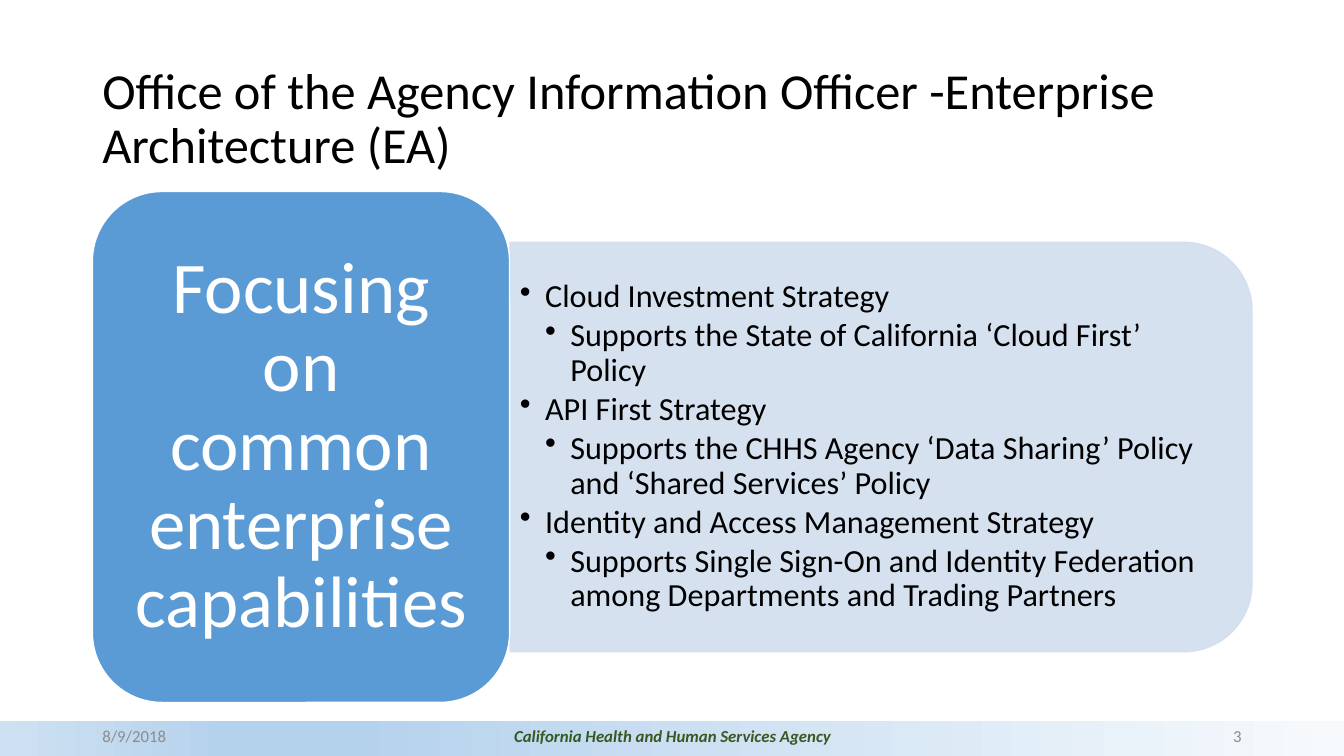
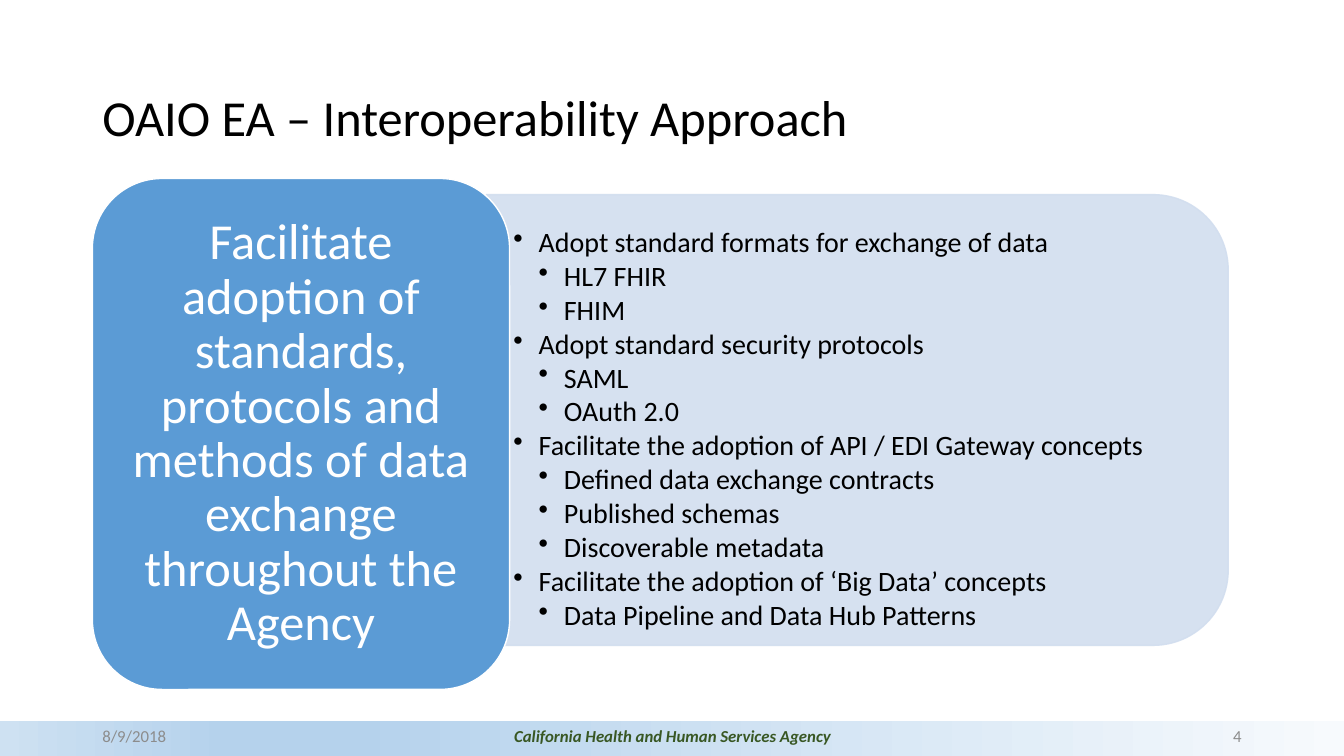
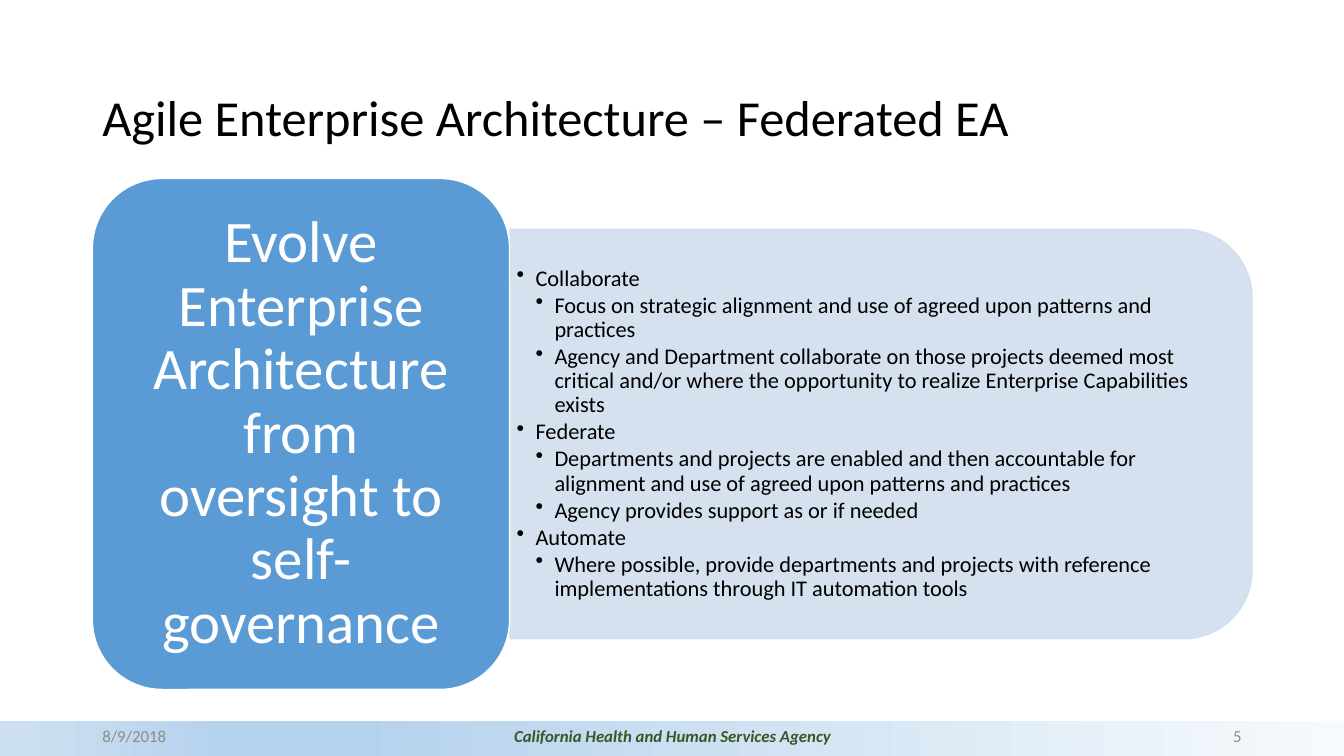
import lxml.etree
import pptx
import pptx.dml.color
import pptx.enum.shapes
import pptx.enum.text
import pptx.oxml.ns
import pptx.util

Pt = pptx.util.Pt
qn = pptx.oxml.ns.qn
Kind = pptx.enum.shapes.MSO_SHAPE
Align = pptx.enum.text.PP_ALIGN
Anchor = pptx.enum.text.MSO_ANCHOR

WIDE, HIGH = 960, 540
EDGE = 66
CARD_W, CARD_H = 298, 365
PANEL_W = 530


def color(text):
    return pptx.dml.color.RGBColor.from_string(text)


def sub(node, tag, **attrs):
    """Append a child element with the given attributes."""
    return lxml.etree.SubElement(node, qn(tag), attrs)


class Deck:
    font = "Calibri"
    black, white = "000000", "FFFFFF"
    blue, pale = "5B9BD5", "D2DEEF"
    gray, green = "8C8C8C", "385723"
    band_stops = [(0, "CEE1F2"), (17, "B5D2EC"), (26, "B5D2EC"), (100, "F7FAFD")]
    date = "8/9/2018"
    agency = "California Health and Human Services Agency"

    def __init__(self):
        self.prs = pptx.Presentation()
        self.prs.slide_width = Pt(WIDE)
        self.prs.slide_height = Pt(HIGH)
        self.slide = None

    def page(self, title, number):
        """Start a slide with its band, footers and title."""
        self.slide = self.prs.slides.add_slide(self.prs.slide_layouts[6])
        self.band()
        self.footer(EDGE, 216, self.date, self.gray, Align.LEFT)
        footer = self.footer(319, 323, self.agency, self.green, Align.CENTER)
        footer.bold = footer.italic = True
        self.footer(678, 216, str(number), self.gray, Align.RIGHT)
        frame = self.box(EDGE, 44, 828, 83.5)
        frame.text = title
        self.style(frame.paragraphs[0], 36, self.black).line_spacing = 0.9

    def shape(self, kind, left, top, width, height):
        shape = self.slide.shapes.add_shape(
            kind, Pt(left), Pt(top), Pt(width), Pt(height))
        shape.shadow.inherit = False
        return shape

    def paint(self, shape, fill, line):
        shape.fill.solid()
        shape.fill.fore_color.rgb = color(fill)
        shape.line.color.rgb = color(line)
        shape.line.width = Pt(1)

    def box(self, left, top, width, height, inset=7.2):
        """Add a text box centred vertically and return its frame."""
        box = self.slide.shapes.add_textbox(
            Pt(left), Pt(top), Pt(width), Pt(height))
        return self.fit(box.text_frame, inset, 3.6)

    def fit(self, frame, side, ends):
        frame.word_wrap = True
        frame.vertical_anchor = Anchor.MIDDLE
        frame.margin_left = frame.margin_right = Pt(side)
        frame.margin_top = frame.margin_bottom = Pt(ends)
        return frame

    def style(self, para, size, ink, align=Align.LEFT):
        para.alignment = align
        for run in para.runs:
            run.font.name = self.font
            run.font.size = Pt(size)
            run.font.color.rgb = color(ink)
        return para

    def band(self):
        band = self.shape(Kind.RECTANGLE, 0, 515, WIDE, HIGH - 515)
        band.line.fill.background()
        band.fill.gradient()
        band.fill.gradient_angle = 0
        stops = band._element.find(".//" + qn("a:gsLst"))
        for stop in list(stops):
            stops.remove(stop)
        for place, tint in self.band_stops:
            stop = sub(stops, "a:gs", pos=str(place * 1000))
            sub(stop, "a:srgbClr", val=tint)

    def footer(self, left, width, text, ink, align):
        frame = self.box(left, 511, width, 29)
        frame.text = text
        para = self.style(frame.paragraphs[0], 12, ink, align)
        return para.runs[0].font

    def panel(self, left, mid, height):
        """Add a pale panel, turned so that its right corners are round."""
        panel = self.shape(Kind.ROUND_2_SAME_RECTANGLE,
                           left + (PANEL_W - height) / 2, mid - PANEL_W / 2,
                           height, PANEL_W)
        panel.rotation = 90
        self.paint(panel, self.pale, self.pale)
        for tint in panel._element.iter(qn("a:srgbClr")):
            sub(tint, "a:alpha", val="90000")

    def card(self, mid, text, size, inset):
        card = self.shape(Kind.ROUNDED_RECTANGLE, EDGE, mid - CARD_H / 2,
                          CARD_W, CARD_H)
        self.paint(card, self.blue, self.white)
        frame = self.fit(card.text_frame, inset, inset / 2)
        frame.text = text
        para = self.style(frame.paragraphs[0], size, self.white, Align.CENTER)
        para.line_spacing = 0.9

    def points(self, left, mid, groups, size, step, inset):
        """Add two levels of bullets, each level indented by step."""
        frame = self.box(left, mid - 150, 515.5, 300, inset)
        items = []
        for head, *rest in groups:
            items += [(0, head)] + [(1, text) for text in rest]
        frame.text = "\n".join(text for _, text in items)
        for para, (level, _) in zip(frame.paragraphs, items):
            self.style(para, size, self.black)
            para.level = level
            para.line_spacing = 0.9
            para.space_after = Pt(round(size * 0.13, 2))
            props = para._p.get_or_add_pPr()
            props.set("marL", str(Pt(step * (level + 1))))
            props.set("indent", str(Pt(-step)))
            sub(props, "a:buChar", char="•")


PAGES = [
    dict(
        title="Office of the Agency Information Officer -Enterprise Architecture (EA)",
        card=(319.3, "Focusing on common enterprise capabilities", 52, 15.6),
        panel=(364.3, 319.3, 292.5),
        points=(364.3, 319.3, [
            ("Cloud Investment Strategy",
             "Supports the State of California ‘Cloud First’ Policy"),
            ("API First Strategy",
             "Supports the CHHS Agency ‘Data Sharing’ Policy and ‘Shared Services’ Policy"),
            ("Identity and Access Management Strategy",
             "Supports Single Sign-On and Identity Federation among Departments "
             "and Trading Partners"),
        ], 23, 18, 7.2)),
    dict(
        title="OAIO EA – Interoperability Approach",
        card=(310, "Facilitate adoption of standards, protocols and methods of data "
                   "exchange throughout the Agency", 36, 10.8),
        panel=(347.3, 300, 322),
        points=(347.3, 307, [
            ("Adopt standard formats for exchange of data", "HL7 FHIR", "FHIM"),
            ("Adopt standard security protocols", "SAML", "OAuth 2.0"),
            ("Facilitate the adoption of API / EDI Gateway concepts",
             "Defined data exchange contracts", "Published schemas",
             "Discoverable metadata"),
            ("Facilitate the adoption of ‘Big Data’ concepts",
             "Data Pipeline and Data Hub Patterns"),
        ], 20, 18, 19.5)),
    dict(
        title="Agile Enterprise Architecture – Federated EA",
        card=(310, "Evolve Enterprise Architecture from oversight to self-governance",
              42, 12.5),
        panel=(364.3, 310, 292.5),
        points=(364.3, 310, [
            ("Collaborate",
             "Focus on strategic alignment and use of agreed upon patterns and practices",
             "Agency and Department collaborate on those projects deemed most critical "
             "and/or where the opportunity to realize Enterprise Capabilities exists"),
            ("Federate",
             "Departments and projects are enabled and then accountable for alignment "
             "and use of agreed upon patterns and practices",
             "Agency provides support as or if needed"),
            ("Automate",
             "Where possible, provide departments and projects with reference "
             "implementations through IT automation tools"),
        ], 16, 13.5, 4.8)),
]


def main():
    deck = Deck()
    for number, page in enumerate(PAGES, 3):
        deck.page(page["title"], number)
        deck.panel(*page["panel"])
        deck.points(*page["points"])
        deck.card(*page["card"])
    deck.prs.save("out.pptx")


if __name__ == "__main__":
    main()
